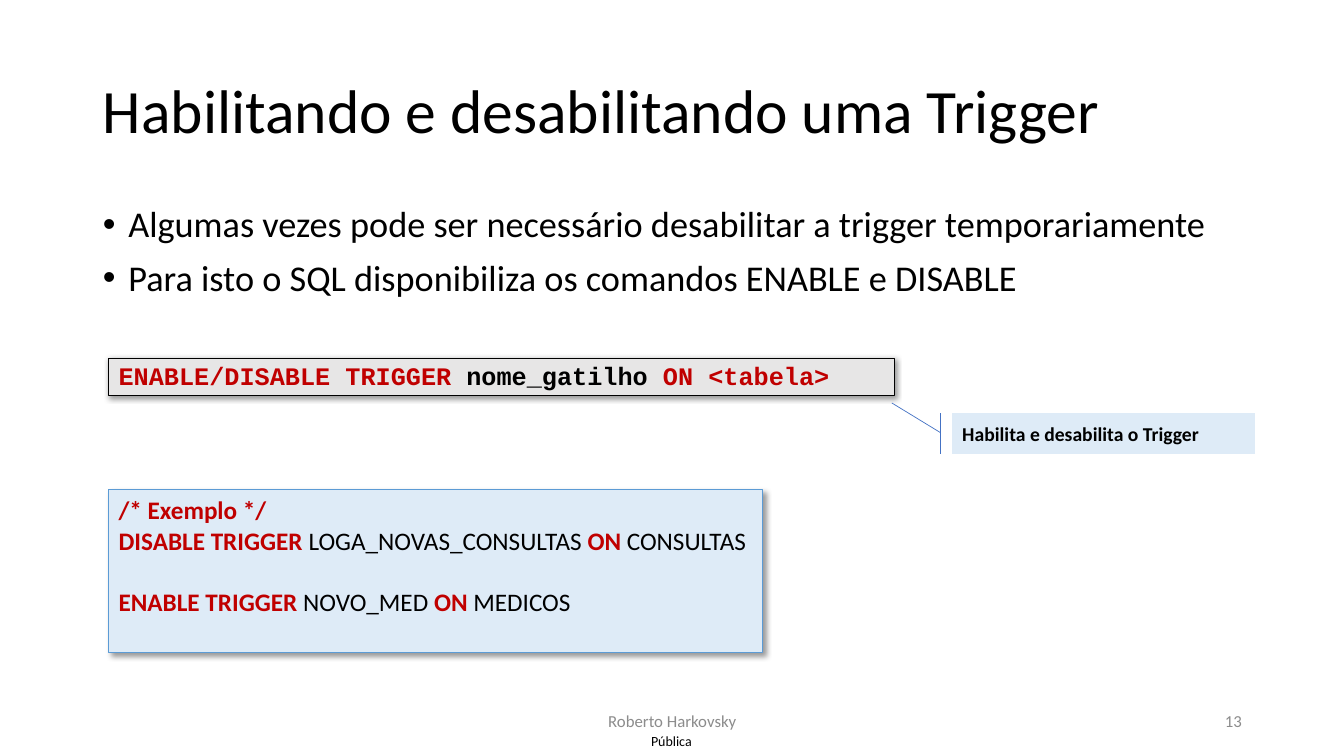
from lxml import etree
from pptx import Presentation
from pptx.dml.color import RGBColor
from pptx.enum import shapes, text
from pptx.oxml import ns
from pptx.util import Cm, Pt

BLACK = RGBColor(0x00, 0x00, 0x00)
RED = RGBColor(0xC0, 0x00, 0x00)
GREY = RGBColor(0x8C, 0x8C, 0x8C)
LIGHT_GREY = RGBColor(0xE7, 0xE6, 0xE6)
LIGHT_BLUE = RGBColor(0xDE, 0xEB, 0xF7)
BLUE = RGBColor(0x5B, 0x9B, 0xD5)
CALLOUT_BLUE = RGBColor(0x44, 0x72, 0xC4)
LEFT, CENTER, RIGHT = text.PP_ALIGN.LEFT, text.PP_ALIGN.CENTER, text.PP_ALIGN.RIGHT
TOP, MIDDLE = text.MSO_ANCHOR.TOP, text.MSO_ANCHOR.MIDDLE

COMMAND = [("ENABLE/DISABLE TRIGGER ", RED, True), ("nome_gatilho ", BLACK, True),
           ("ON <tabela>", RED, True)]
EXAMPLE = [
    [("/* Exemplo */", RED, True)],
    [("DISABLE TRIGGER ", RED, True), ("LOGA_NOVAS_CONSULTAS ", BLACK, False),
     ("ON", RED, True), (" CONSULTAS", BLACK, False)],
    [("ENABLE TRIGGER ", RED, True), ("NOVO_MED ", BLACK, False),
     ("ON", RED, True), (" MEDICOS", BLACK, False)],
]
BULLETS = [
    "Algumas vezes pode ser necessário desabilitar a trigger temporariamente",
    "Para isto o SQL disponibiliza os comandos ENABLE e DISABLE",
]


def plain(words, color=BLACK, bold=False):
    """One paragraph made of a single run."""
    return [(words, color, bold)]


def place(shape, left, top, width, height):
    shape.left, shape.top = Cm(left), Cm(top)
    shape.width, shape.height = Cm(width), Cm(height)


def write(shape, lines, size, font="Calibri", align=LEFT, anchor=TOP, spacing=1.0, wrap=True):
    """Fill a shape with lines, each a list of (words, colour, bold) runs."""
    frame = shape.text_frame
    frame.word_wrap = wrap
    frame.auto_size = text.MSO_AUTO_SIZE.NONE
    frame.vertical_anchor = anchor
    for index, line in enumerate(lines):
        para = frame.add_paragraph() if index else frame.paragraphs[0]
        para.alignment = align
        para.line_spacing = spacing
        for words, color, bold in line:
            span = para.add_run()
            span.text = words
            span.font.name = font
            span.font.size = Pt(size)
            span.font.bold = bold
            span.font.color.rgb = color
    return frame


def add_label(page, area, words, size, color, align):
    box = page.shapes.add_textbox(0, 0, 0, 0)
    place(box, *area)
    return write(box, [plain(words, color)], size, align=align, anchor=MIDDLE)


def add_panel(page, kind, area, fill, line, weight):
    panel = page.shapes.add_shape(kind, 0, 0, 0, 0)
    place(panel, *area)
    panel.shadow.inherit = False
    panel.fill.solid()
    panel.fill.fore_color.rgb = fill
    panel.line.color.rgb = line
    panel.line.width = Pt(weight)
    return panel


def cast_shadow(shape, distance):
    effects = shape._element.spPr.find(ns.qn("a:effectLst"))
    shadow = etree.SubElement(effects, ns.qn("a:outerShdw"), blurRad=str(Pt(4)),
                              dist=str(Pt(distance)), dir="2700000", algn="tl", rotWithShape="0")
    color = etree.SubElement(shadow, ns.qn("a:srgbClr"), val="000000")
    etree.SubElement(color, ns.qn("a:alpha"), val="40000")


def add_bullets(body):
    place(body, 2.34, 5.08, 29.21, 3.05)
    frame = write(body, [plain(words) for words in BULLETS], 25.9, spacing=0.9)
    for para in frame.paragraphs:
        para.space_before = Pt(10)
        properties = para._p.get_or_add_pPr()
        properties.set("marL", str(Cm(0.64)))
        properties.set("indent", str(-Cm(0.64)))
        etree.SubElement(properties, ns.qn("a:buFont"), typeface="Arial")
        etree.SubElement(properties, ns.qn("a:buChar"), char="•")


def add_callout(page):
    callout = add_panel(page, shapes.MSO_SHAPE.LINE_CALLOUT_1_ACCENT_BAR,
                        (24, 10.41, 7.62, 1.02), LIGHT_BLUE, CALLOUT_BLUE, 0.5)
    for index, value in enumerate((0.48, -0.04, -0.25, -0.2)):
        callout.adjustments[index] = value
    write(callout, [plain("Habilita e desabilita o Trigger", bold=True)], 14, anchor=MIDDLE)


def main():
    deck = Presentation()
    deck.slide_width, deck.slide_height = Cm(33.87), Cm(19.05)
    page = deck.slides.add_slide(deck.slide_layouts[1])
    rectangle = shapes.MSO_SHAPE.RECTANGLE

    place(page.shapes.title, 2.34, 1.02, 29.21, 3.68)
    write(page.shapes.title, [plain("Habilitando e desabilitando uma Trigger")], 44,
          anchor=MIDDLE, spacing=0.9)
    add_bullets(page.placeholders[1])

    command = add_panel(page, rectangle, (2.74, 9.04, 19.81, 0.94), LIGHT_GREY, BLACK, 0.75)
    cast_shadow(command, 1)
    write(command, [COMMAND], 18, font="Courier New", spacing=0.9)
    add_callout(page)

    example = add_panel(page, rectangle, (2.74, 12.34, 16.48, 4.11), LIGHT_BLUE, BLUE, 0.5)
    cast_shadow(example, 3)
    frame = write(example, EXAMPLE, 18, wrap=False)
    frame.paragraphs[-1].space_before = Pt(22)

    add_label(page, (11.23, 17.65, 11.43, 1.02), "Roberto Harkovsky", 12, GREY, CENTER)
    add_label(page, (23.93, 17.65, 7.62, 1.02), "13", 12, GREY, RIGHT)
    mark = add_label(page, (16.03, 18.31, 1.78, 0.74), "Pública", 10, BLACK, CENTER)
    mark.margin_left = mark.margin_right = mark.margin_top = mark.margin_bottom = 0

    deck.save("out.pptx")


if __name__ == "__main__":
    main()
